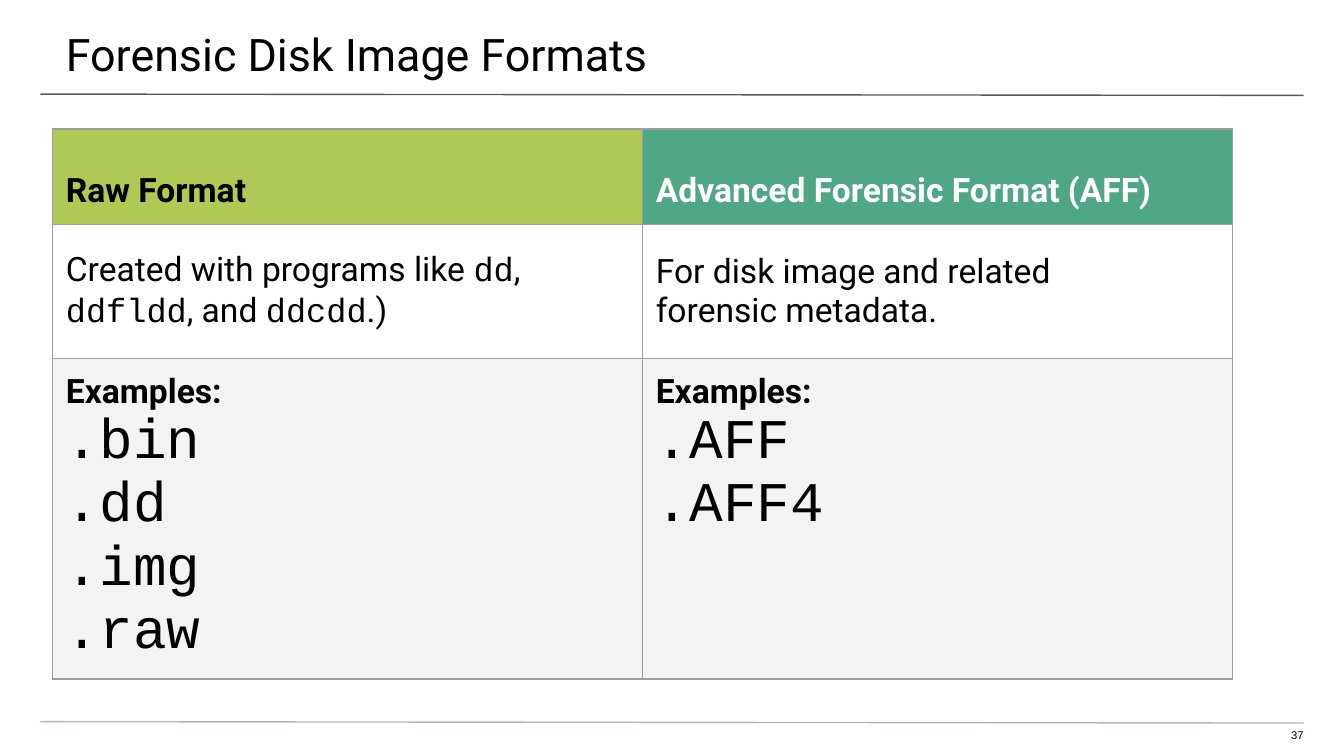
from lxml import etree
from pptx import Presentation
from pptx.dml.color import RGBColor
from pptx.enum.shapes import MSO_CONNECTOR
from pptx.enum.text import MSO_ANCHOR, MSO_AUTO_SIZE, PP_ALIGN
from pptx.oxml.ns import qn
from pptx.util import Inches, Pt

STRAIGHT = MSO_CONNECTOR.STRAIGHT
TOP, MIDDLE, BOTTOM = MSO_ANCHOR.TOP, MSO_ANCHOR.MIDDLE, MSO_ANCHOR.BOTTOM
LEFT, RIGHT = PP_ALIGN.LEFT, PP_ALIGN.RIGHT
NO_AUTOFIT = MSO_AUTO_SIZE.NONE

THEME = {
    "black": "000000", "white": "FFFFFF",
    "lime": "AFCA54", "green": "4FA786", "gray": "F3F3F3",
    "border": "9E9E9E", "title_rule": "595959", "footer_rule": "A9B7C0",
    "line_width": 0.75,
    # Text styles: font, size, bold
    "title": ("Roboto", 24, False),
    "number": ("Arial", 6, False),
    "body": ("Roboto", 18, False),
    "bold": ("Roboto", 18, True),
    "command": ("Courier New", 18, False),
    "extension": ("Courier New", 30, False),
}


def style_run(run, style, color="black"):
    run.font.name, size, run.font.bold = THEME[style]
    run.font.size = Pt(size)
    run.font.color.rgb = RGBColor.from_string(THEME[color])


def add_borders(cell):
    properties = cell._tc.get_or_add_tcPr()
    for position, side in enumerate(("a:lnL", "a:lnR", "a:lnT", "a:lnB")):
        line = etree.Element(qn(side), w=str(Pt(THEME["line_width"])))
        fill = etree.SubElement(line, qn("a:solidFill"))
        etree.SubElement(fill, qn("a:srgbClr"), val=THEME["border"])
        properties.insert(position, line)


# Widescreen slide, 16 to 9
presentation = Presentation()
presentation.slide_width = Inches(10)
presentation.slide_height = Inches(10) * 9 // 16
slide = presentation.slides.add_slide(presentation.slide_layouts[5])

# Rules under the title and above the footer
for y, color in ((0.7, "title_rule"), (5.37, "footer_rule")):
    rule = slide.shapes.add_connector(
        STRAIGHT, Inches(0.3), Inches(y), Inches(9.7), Inches(y + 0.01))
    rule.line.color.rgb = RGBColor.from_string(THEME[color])
    rule.line.width = Pt(THEME["line_width"])
    etree.SubElement(rule._element.spPr, qn("a:effectLst"))

# Title and slide number
title = slide.shapes.title
title.left, title.top = Inches(-0.01), Inches(0)
title.width, title.height = Inches(10.03), Inches(0.58)
number = slide.shapes.add_textbox(
    Inches(9.41), Inches(5.42), Inches(0.29), Inches(0.12))
for shape, text, style, alignment, insets in (
    (title, "Forensic Disk Image Formats", "title", LEFT, (0.5, 0.2, 0.3, 0.1)),
    (number, "37", "number", RIGHT, (0, 0, 0, 0.1)),
):
    frame = shape.text_frame
    frame.text = text
    frame.word_wrap = True
    frame.auto_size = NO_AUTOFIT
    frame.vertical_anchor = TOP
    (frame.margin_left, frame.margin_top,
     frame.margin_right, frame.margin_bottom) = map(Inches, insets)
    paragraph = frame.paragraphs[0]
    paragraph.alignment = alignment
    style_run(paragraph.runs[0], style)

# Table content: each cell is a list of paragraphs, each paragraph a list of
# (text, style) runs; None is a line break
raw_description = [
    ("Created with programs like ", "body"), ("dd", "command"), (", ", "body"),
    None, ("ddfldd", "command"), (", and ", "body"), ("ddcdd", "command"),
    (".)", "body"),
]
aff_description = [
    ("For disk image and related ", "body"), None,
    ("forensic metadata.", "body"),
]
raw_examples, aff_examples = (
    [[("Examples:", "bold")]] + [[(name, "extension")] for name in names]
    for names in ((".bin", ".dd", ".img", ".raw"), (".AFF", ".AFF4")))

# Rows: height, anchor, fills, text colors, cells
rows = (
    (0.71, BOTTOM, ("lime", "green"), ("black", "white"),
     ([[("Raw Format", "bold")]],
      [[("Advanced Forensic Format (AFF)", "bold")]])),
    (1, MIDDLE, (None, None), ("black", "black"),
     ([raw_description], [aff_description])),
    (2.34, TOP, ("gray", "gray"), ("black", "black"),
     (raw_examples, aff_examples)),
)

# Format comparison table
table_height = Inches(sum(row[0] for row in rows))
table = slide.shapes.add_table(
    len(rows), 2, Inches(0.39), Inches(0.96), Inches(8.78), table_height).table
table.first_row = table.horz_banding = False
for row_index, (height, anchor, fills, colors, contents) in enumerate(rows):
    table.rows[row_index].height = Inches(height)
    for column, (fill, color, content) in enumerate(zip(fills, colors, contents)):
        cell = table.cell(row_index, column)
        cell.vertical_anchor = anchor
        cell.margin_left = cell.margin_right = Inches(0.1)
        cell.margin_top = cell.margin_bottom = Inches(0.1)
        if fill:
            cell.fill.solid()
            cell.fill.fore_color.rgb = RGBColor.from_string(THEME[fill])
        else:
            cell.fill.background()
        add_borders(cell)
        cell.text_frame.text = "\n" * (len(content) - 1)
        for paragraph, pieces in zip(cell.text_frame.paragraphs, content):
            for piece in pieces:
                if piece is None:
                    paragraph.add_line_break()
                    continue
                text, style = piece
                run = paragraph.add_run()
                run.text = text
                style_run(run, style, color)

presentation.save("out.pptx")
